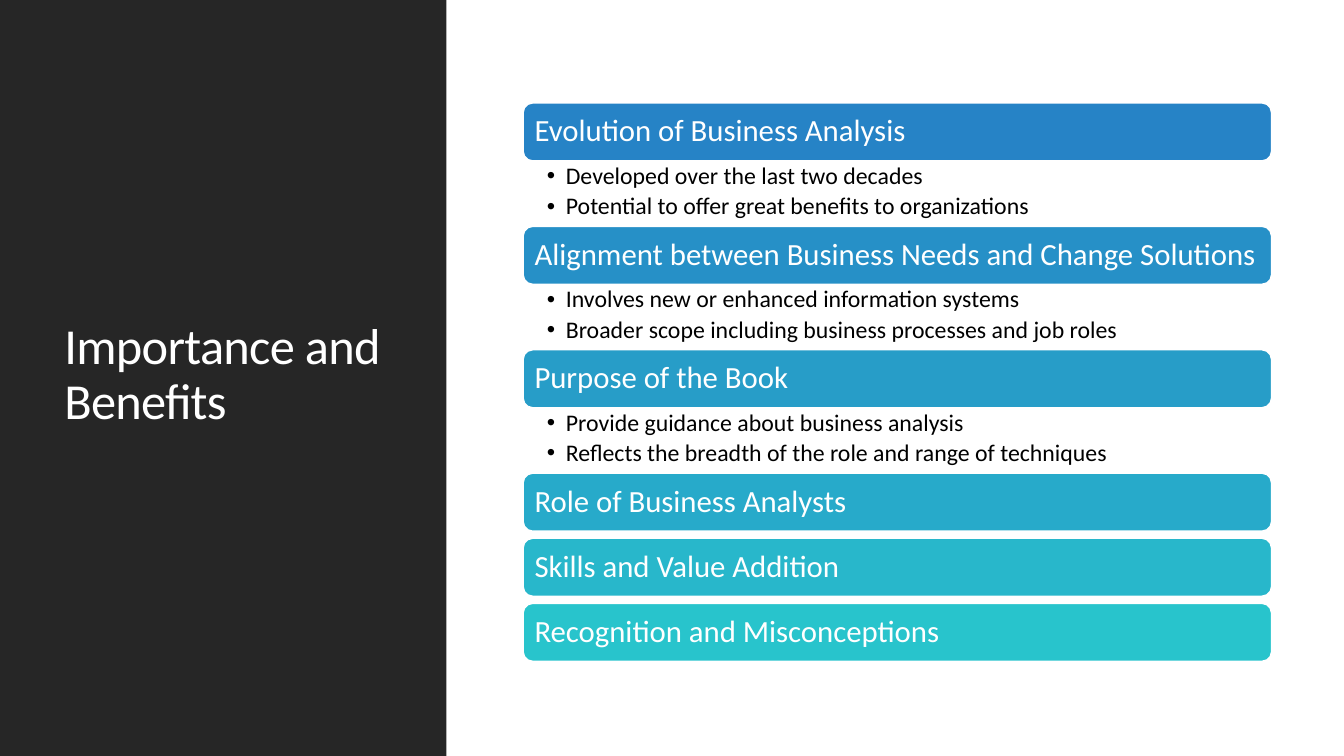
import pptx
import pptx.dml.color
import pptx.enum.shapes
import pptx.enum.text
import pptx.oxml
import pptx.oxml.ns
import pptx.util

Cm = pptx.util.Cm
Pt = pptx.util.Pt
MSO_SHAPE = pptx.enum.shapes.MSO_SHAPE
ANCHOR = pptx.enum.text.MSO_ANCHOR
NO_AUTOFIT = pptx.enum.text.MSO_AUTO_SIZE.NONE
LEFT_ALIGN = pptx.enum.text.PP_ALIGN.LEFT

LEFT, TOP, WIDTH = 13.18, 2.59, 18.87
BAR_HEIGHT, LIST_HEIGHT, BAR_GAP = 1.47, 1.64, 0.17

SECTIONS = [
    ("Evolution of Business Analysis", "2683C6",
     ["Developed over the last two decades",
      "Potential to offer great benefits to organizations"]),
    ("Alignment between Business Needs and Change Solutions", "2690C7",
     ["Involves new or enhanced information systems",
      "Broader scope including business processes and job roles"]),
    ("Purpose of the Book", "279DC8",
     ["Provide guidance about business analysis",
      "Reflects the breadth of the role and range of techniques"]),
    ("Role of Business Analysts", "27AACA", []),
    ("Skills and Value Addition", "28B7CB", []),
    ("Recognition and Misconceptions", "28C4CC", []),
]

FRAME = {"word_wrap": True, "auto_size": NO_AUTOFIT}
BAR_FRAME = {**FRAME, "vertical_anchor": ANCHOR.MIDDLE,
             "margin_left": Cm(0.22), "margin_right": Cm(0.22),
             "margin_top": Cm(0.23), "margin_bottom": Cm(0.23)}
LIST_FRAME = {**FRAME, "vertical_anchor": ANCHOR.TOP,
              "margin_left": Cm(0.6), "margin_right": Cm(0.43),
              "margin_top": Cm(0.07), "margin_bottom": Cm(0.07)}
PARAGRAPH = {"alignment": LEFT_ALIGN, "line_spacing": 0.9,
             "space_before": Pt(0), "space_after": Pt(0)}
LIST_PARAGRAPH = {**PARAGRAPH, "level": 1, "space_after": Pt(3.4)}


def rgb(value):
    return pptx.dml.color.RGBColor.from_string(value)


def apply(target, values):
    for name, value in values.items():
        setattr(target, name, value)


def place(sp, left, top, width, height):
    apply(sp, {"left": Cm(left), "top": Cm(top),
               "width": Cm(width), "height": Cm(height)})


def write(p, text, size, color, values):
    apply(p, values)
    r = p.add_run()
    r.text = text
    apply(r.font, {"name": "Calibri", "size": Pt(size), "bold": False})
    r.font.color.rgb = rgb(color)
    return r


def add_block(slide, kind, left, top, width, height, fill):
    sp = slide.shapes.add_shape(kind, Cm(left), Cm(top), Cm(width), Cm(height))
    sp.shadow.inherit = False
    sp.fill.solid()
    sp.fill.fore_color.rgb = rgb(fill)
    sp.line.fill.background()
    return sp


def add_bar(slide, top, text, fill):
    sp = add_block(slide, MSO_SHAPE.ROUNDED_RECTANGLE,
                   LEFT, top, WIDTH, BAR_HEIGHT, fill)
    sp.line.color.rgb = rgb("FFFFFF")
    sp.line.width = Pt(1.25)
    apply(sp.text_frame, BAR_FRAME)
    write(sp.text_frame.paragraphs[0], text, 22, "FFFFFF", PARAGRAPH)


def add_bullet(p):
    pPr = p._p.get_or_add_pPr()
    pPr.set("marL", str(Cm(0.48)))
    pPr.set("indent", str(-Cm(0.48)))
    for tag, name, value in (("a:buFont", "typeface", "Arial"),
                             ("a:buChar", "char", "•")):
        bullet = pptx.oxml.parse_xml(
            f'<{tag} {pptx.oxml.ns.nsdecls("a")} {name}="{value}"/>')
        pPr.append(bullet)


def fill_list(body, top, items):
    place(body, LEFT, top, WIDTH, LIST_HEIGHT)
    tf = body.text_frame
    apply(tf, LIST_FRAME)
    for i, item in enumerate(items):
        p = tf.add_paragraph() if i else tf.paragraphs[0]
        write(p, item, 17, "000000", LIST_PARAGRAPH)
        add_bullet(p)


def fill_title(slide, text):
    title = slide.shapes.title
    place(title, 1.37, 1.45, 8.56, 16.03)
    apply(title.text_frame, {**FRAME, "vertical_anchor": ANCHOR.MIDDLE})
    r = write(title.text_frame.paragraphs[0], text, 36, "FFFFFF", PARAGRAPH)
    r.font._element.set("spc", "-50")
    panel = add_block(slide, MSO_SHAPE.RECTANGLE, 0, 0, 11.25, 19.05, "262626")
    title._element.addprevious(panel._element)


def main():
    prs = pptx.Presentation()
    prs.slide_width, prs.slide_height = Cm(33.87), Cm(19.05)
    slide = prs.slides.add_slide(prs.slide_layouts.get_by_name("Comparison"))
    bodies = [ph for ph in slide.placeholders if 1 <= ph.placeholder_format.idx <= 4]
    fill_title(slide, "Importance and Benefits")
    top = TOP
    for heading, fill, items in SECTIONS:
        add_bar(slide, top, heading, fill)
        top += BAR_HEIGHT
        if items:
            fill_list(bodies.pop(0), top, items)
            top += LIST_HEIGHT
        else:
            top += BAR_GAP
    for body in bodies:
        body._element.getparent().remove(body._element)
    prs.save("out.pptx")


if __name__ == "__main__":
    main()
